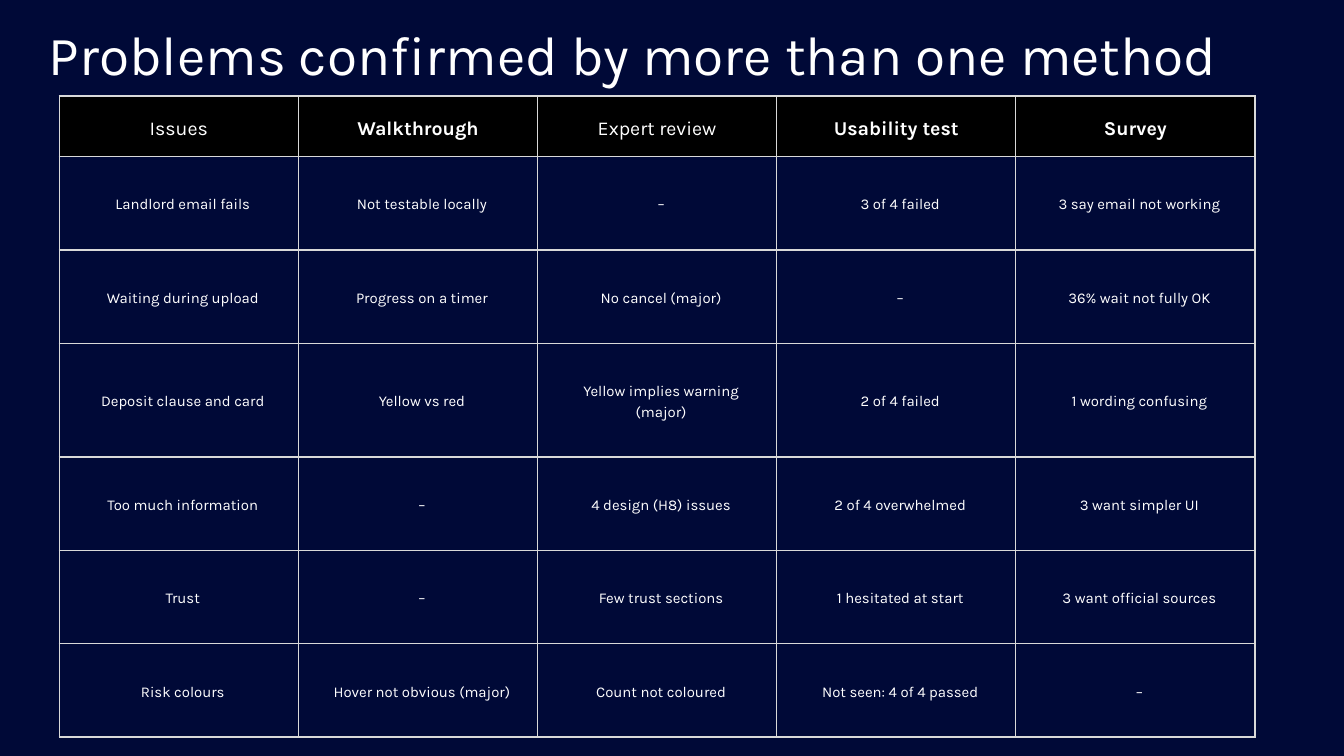
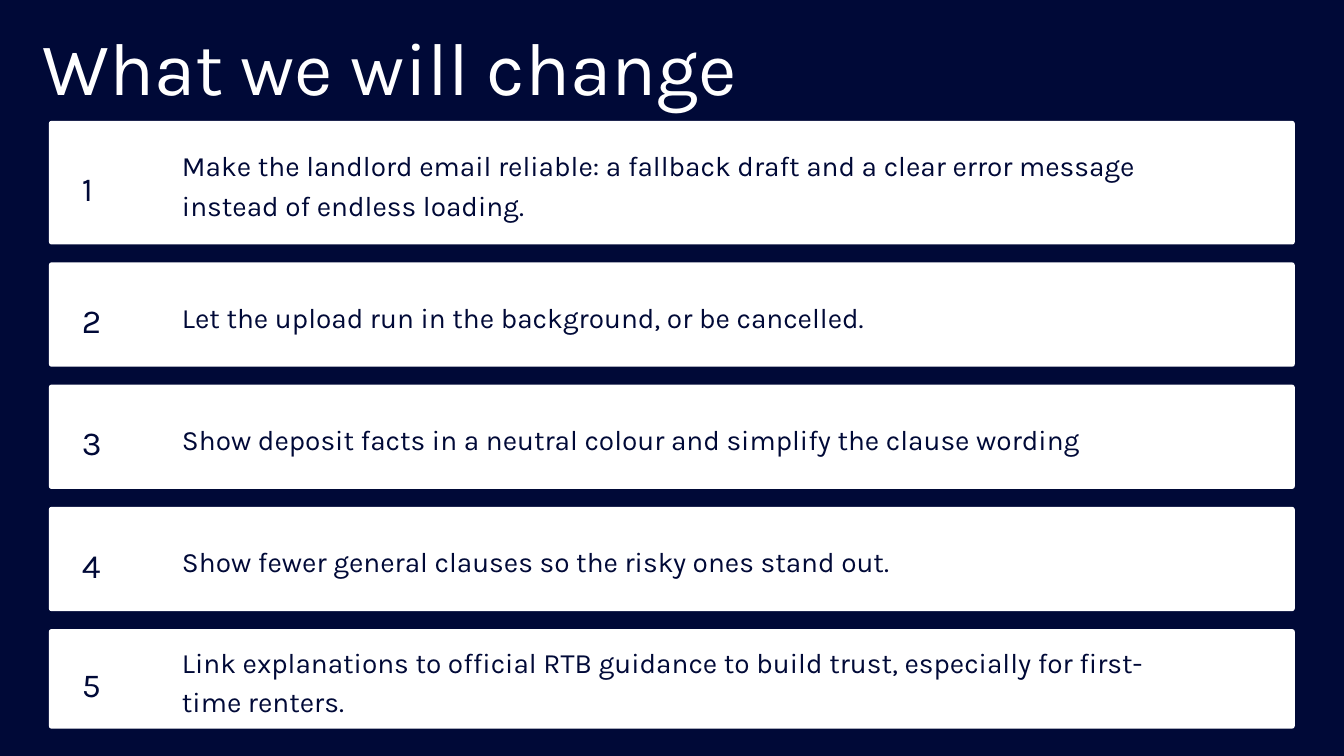
import pptx
import pptx.util
import pptx.dml.color
import pptx.enum.shapes
import pptx.enum.text
import pptx.oxml
from pptx.oxml.ns import nsdecls

Cm, Pt = pptx.util.Cm, pptx.util.Pt
Align, Anchor = pptx.enum.text.PP_ALIGN, pptx.enum.text.MSO_ANCHOR

FONT = "Karla"
NAVY, WHITE, BLACK, GREY = "000937", "FFFFFF", "000000", "D9D9D9"

PROBLEMS_TITLE = "Problems confirmed by more than one method"
METHODS = [("Issues", False), ("Walkthrough", True), ("Expert review", False),
           ("Usability test", True), ("Survey", True)]
PROBLEMS = [
    ("Landlord email fails", "Not testable locally", "–",
     "3 of 4 failed", "3 say email not working"),
    ("Waiting during upload", "Progress on a timer", "No cancel (major)",
     "–", "36% wait not fully OK"),
    ("Deposit clause and card", "Yellow vs red", "Yellow implies warning (major)",
     "2 of 4 failed", "1 wording confusing"),
    ("Too much information", "–", "4 design (H8) issues",
     "2 of 4 overwhelmed", "3 want simpler UI"),
    ("Trust", "–", "Few trust sections",
     "1 hesitated at start", "3 want official sources"),
    ("Risk colours", "Hover not obvious (major)", "Count not coloured",
     "Not seen: 4 of 4 passed", "–"),
]
TABLE_LEFT, TABLE_TOP, COLUMN_WIDTH = 2.24, 3.63, 9.04
ROW_HEIGHTS = [2.29, 3.53, 3.53, 4.29, 3.53, 3.53, 3.53]
CELL_MARGIN, BODY_INDENT = 0.53, 0.3

CHANGES_TITLE = "What we will change"
# (change, card height, text height)
CHANGES = [
    ("Make the landlord email reliable: a fallback draft and a clear error message "
     "instead of endless loading.", 4.67, 2.87),
    ("Let the upload run in the background, or be cancelled.", 3.94, 1.4),
    ("Show deposit facts in a neutral colour and simplify the clause wording", 3.94, 1.4),
    ("Show fewer general clauses so the risky ones stand out.", 3.94, 1.4),
    ("Link explanations to official RTB guidance to build trust, especially for "
     "first-time renters.", 3.76, 2.87),
]
CARD_LEFT, CARD_TOP, CARD_WIDTH, CARD_GAP = 1.85, 4.57, 47.09, 0.68
CORNER_RADIUS = 0.1
NUMBER_HEIGHT = 1.78


def rgb(color):
    return pptx.dml.color.RGBColor.from_string(color)


def write(frame, text, size, leading, color, bold=False, align=Align.LEFT):
    frame.text = text
    paragraph = frame.paragraphs[0]
    paragraph.alignment = align
    paragraph.line_spacing = Pt(leading)
    font = paragraph.runs[0].font
    font.name, font.size, font.bold = FONT, Pt(size), bold
    font.color.rgb = rgb(color)


def add_text(slide, text, left, top, width, height, size, leading, color):
    box = slide.shapes.add_textbox(Cm(left), Cm(top), Cm(width), Cm(height))
    frame = box.text_frame
    frame.word_wrap = True
    frame.auto_size = pptx.enum.text.MSO_AUTO_SIZE.SHAPE_TO_FIT_TEXT
    frame.margin_left = frame.margin_right = frame.margin_top = frame.margin_bottom = 0
    write(frame, text, size, leading, color)


def add_slide(deck):
    slide = deck.slides.add_slide(deck.slide_layouts[6])
    slide.background.fill.solid()
    slide.background.fill.fore_color.rgb = rgb(NAVY)
    return slide


def draw_borders(cell, color, points):
    properties = cell._tc.get_or_add_tcPr()
    for side in "LRTB":
        properties.append(pptx.oxml.parse_xml(
            f'<a:ln{side} {nsdecls("a")} w="{Pt(points)}"><a:solidFill>'
            f'<a:srgbClr val="{color}"/></a:solidFill></a:ln{side}>'))


def fill_cell(cell, text, is_header, bold):
    draw_borders(cell, GREY, 1.5)
    margin = Cm(CELL_MARGIN)
    cell.margin_left = cell.margin_right = cell.margin_top = cell.margin_bottom = margin
    cell.vertical_anchor = Anchor.MIDDLE
    if is_header:
        cell.fill.solid()
        cell.fill.fore_color.rgb = rgb(BLACK)
        write(cell.text_frame, text, 21, 29.4, WHITE, bold, Align.CENTER)
    else:
        cell.fill.background()
        cell.margin_left = Cm(CELL_MARGIN + BODY_INDENT)
        write(cell.text_frame, text, 16, 22.4, WHITE, bold, Align.CENTER)


def build_problems(deck):
    slide = add_slide(deck)
    table = slide.shapes.add_table(
        len(ROW_HEIGHTS), len(METHODS), Cm(TABLE_LEFT), Cm(TABLE_TOP),
        Cm(COLUMN_WIDTH * len(METHODS)), Cm(sum(ROW_HEIGHTS))).table
    table.first_row = table.horz_banding = False
    for column in table.columns:
        column.width = Cm(COLUMN_WIDTH)
    for row, height in zip(table.rows, ROW_HEIGHTS):
        row.height = Cm(height)
    for c, (method, bold) in enumerate(METHODS):
        fill_cell(table.cell(0, c), method, True, bold)
    for r, findings in enumerate(PROBLEMS, 1):
        for c, finding in enumerate(findings):
            fill_cell(table.cell(r, c), finding, False, False)
    add_text(slide, PROBLEMS_TITLE, 1.85, 0.76, 47.09, 2.46, 59, 70.8, WHITE)


def add_card(slide, top, height):
    card = slide.shapes.add_shape(
        pptx.enum.shapes.MSO_SHAPE.ROUNDED_RECTANGLE,
        Cm(CARD_LEFT), Cm(top), Cm(CARD_WIDTH), Cm(height))
    card.adjustments[0] = CORNER_RADIUS / height
    card.shadow.inherit = False
    card.fill.solid()
    card.fill.fore_color.rgb = rgb(WHITE)
    card.line.fill.background()


def build_changes(deck):
    slide = add_slide(deck)
    add_text(slide, CHANGES_TITLE, 1.6, 0.79, 35.33, 3.38, 80, 96, WHITE)
    top = CARD_TOP
    for number, (change, height, text_height) in enumerate(CHANGES, 1):
        add_card(slide, top, height)
        middle = top + height / 2
        add_text(slide, change, 6.88, middle - text_height / 2 - 0.05,
                 37.03, text_height, 30, 42, NAVY)
        add_text(slide, str(number), 3.1, middle - NUMBER_HEIGHT / 2 - 0.13,
                 3.15, NUMBER_HEIGHT, 36, 56.5, NAVY)
        top += height + CARD_GAP


def main():
    deck = pptx.Presentation()
    deck.slide_width, deck.slide_height = Cm(50.8), Cm(50.8 * 9 / 16)
    build_problems(deck)
    build_changes(deck)
    deck.save("out.pptx")


if __name__ == "__main__":
    main()
